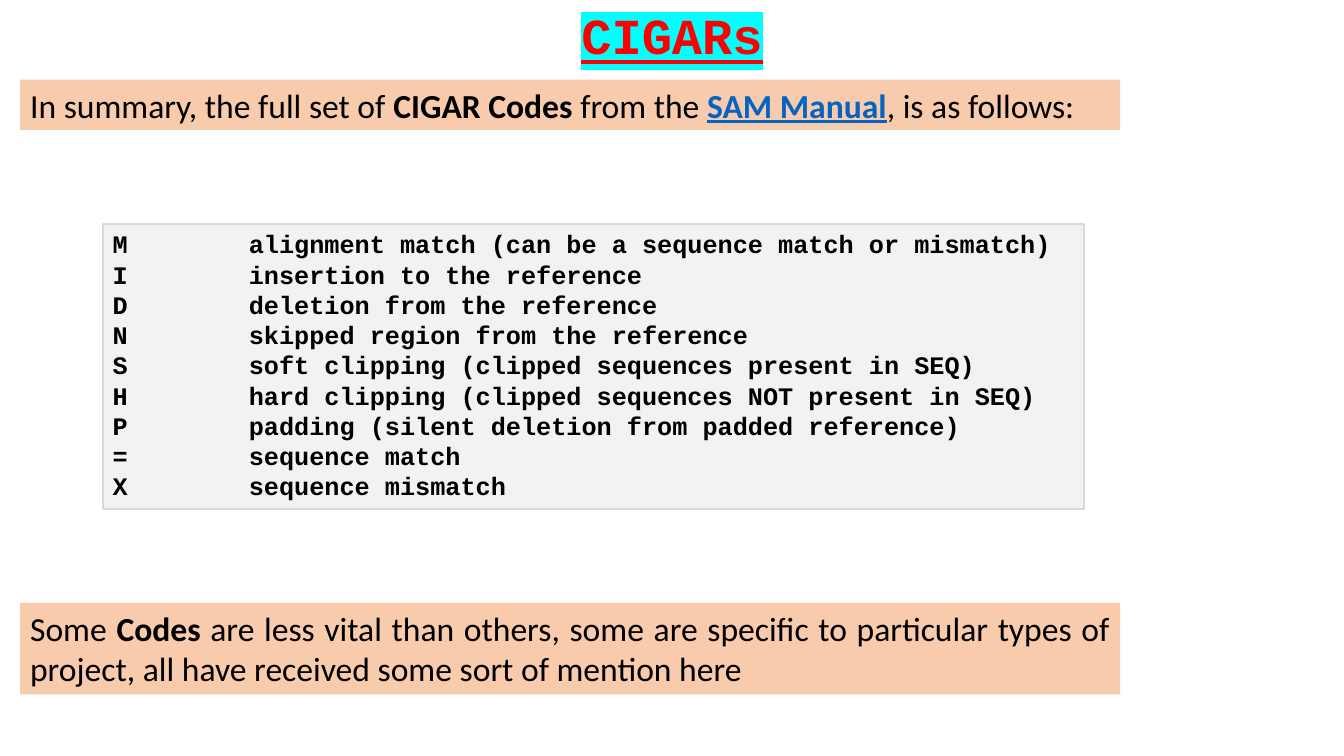
from lxml.etree import SubElement
from pptx import Presentation
from pptx.dml.color import RGBColor
from pptx.enum.shapes import MSO_SHAPE
from pptx.enum.text import MSO_ANCHOR, MSO_AUTO_SIZE, PP_ALIGN
from pptx.oxml.ns import qn
from pptx.util import Inches, Pt

PAGE_WIDTH, PAGE_HEIGHT = 13.33, 7.5
BAND_LEFT, BAND_WIDTH = 0.2, 10.91
CODE_TAB = 1.35  # nine characters of 18 pt Courier New

CIGAR_CODES = [
    ("M", "alignment match (can be a sequence match or mismatch)"),
    ("I", "insertion to the reference"),
    ("D", "deletion from the reference"),
    ("N", "skipped region from the reference"),
    ("S", "soft clipping (clipped sequences present in SEQ)"),
    ("H", "hard clipping (clipped sequences NOT present in SEQ)"),
    ("P", "padding (silent deletion from padded reference)"),
    ("=", "sequence match"),
    ("X", "sequence mismatch"),
]


def color(hex_code):
    return RGBColor.from_string(hex_code)


def add_text(para, text, size=24, font="Calibri", fill="000000",
             bold=False, underline=False, highlight=None):
    span = para.add_run()
    span.text = text
    span.font.size = Pt(size)
    span.font.bold = bold
    span.font.underline = underline
    span.font.color.rgb = color(fill)
    if highlight:
        mark = SubElement(span.font._element, qn("a:highlight"))
        SubElement(mark, qn("a:srgbClr"), val=highlight)
    span.font.name = font


def add_tab_stop(para, position):
    tabs = SubElement(para._p.get_or_add_pPr(), qn("a:tabLst"))
    SubElement(tabs, qn("a:tab"), pos=str(Inches(position)), algn="l")


def add_box(page, left, top, width, height, fill, line=None):
    box = page.shapes.add_shape(MSO_SHAPE.RECTANGLE, Inches(left), Inches(top),
                                Inches(width), Inches(height))
    box.shadow.inherit = False
    box.fill.solid()
    box.fill.fore_color.rgb = color(fill)
    if line:
        box.line.color.rgb = color(line)
        box.line.width = Pt(1.5)
    else:
        box.line.fill.background()
    box.text_frame.word_wrap = True
    box.text_frame.vertical_anchor = MSO_ANCHOR.TOP
    return box


def add_title(page, text):
    title = page.shapes.title
    width = 2.09
    title.left, title.top = Inches((PAGE_WIDTH - width) / 2), Inches(-0.01)
    title.width, title.height = Inches(width), Inches(0.71)
    frame = title.text_frame
    frame.word_wrap = False
    frame.auto_size = MSO_AUTO_SIZE.NONE
    frame.vertical_anchor = MSO_ANCHOR.TOP
    frame.paragraphs[0].alignment = PP_ALIGN.CENTER
    add_text(frame.paragraphs[0], text, size=36, font="Courier New",
             fill="FF0000", bold=True, underline=True, highlight="00FFFF")


def add_band(page, top, height, spans):
    box = add_box(page, BAND_LEFT, top, BAND_WIDTH, height, "F8CBAD")
    para = box.text_frame.paragraphs[0]
    para.alignment = PP_ALIGN.JUSTIFY
    for text, style in spans:
        add_text(para, text, **style)


def add_code_list(page, codes):
    box = add_box(page, 1.02, 2.22, 9.73, 2.83, "F2F2F2", line="D9D9D9")
    frame = box.text_frame
    for index, (code, meaning) in enumerate(codes):
        para = frame.add_paragraph() if index else frame.paragraphs[0]
        para.alignment = PP_ALIGN.LEFT
        add_tab_stop(para, CODE_TAB)
        add_text(para, f"{code}\t{meaning}", size=18, font="Courier New", bold=True)


def main():
    deck = Presentation()
    deck.slide_width, deck.slide_height = Inches(PAGE_WIDTH), Inches(PAGE_HEIGHT)
    page = deck.slides.add_slide(deck.slide_layouts.get_by_name("Title Only"))
    strong = {"bold": True}

    # Heading and list of codes
    add_title(page, "CIGARs")
    add_code_list(page, CIGAR_CODES)

    # Introduction and closing remark
    add_band(page, 0.79, 0.5, [
        ("In summary, the full set of ", {}),
        ("CIGAR Codes ", strong),
        ("from the ", {}),
        ("SAM Manual", {"fill": "0563C1", "bold": True, "underline": True}),
        (", is as follows:", {}),
    ])
    add_band(page, 5.98, 0.91, [
        ("Some ", {}),
        ("Codes", strong),
        (" are less vital than others, some are specific to particular types of "
         "project, all have received some sort of mention here", {}),
    ])
    deck.save("out.pptx")


if __name__ == "__main__":
    main()
